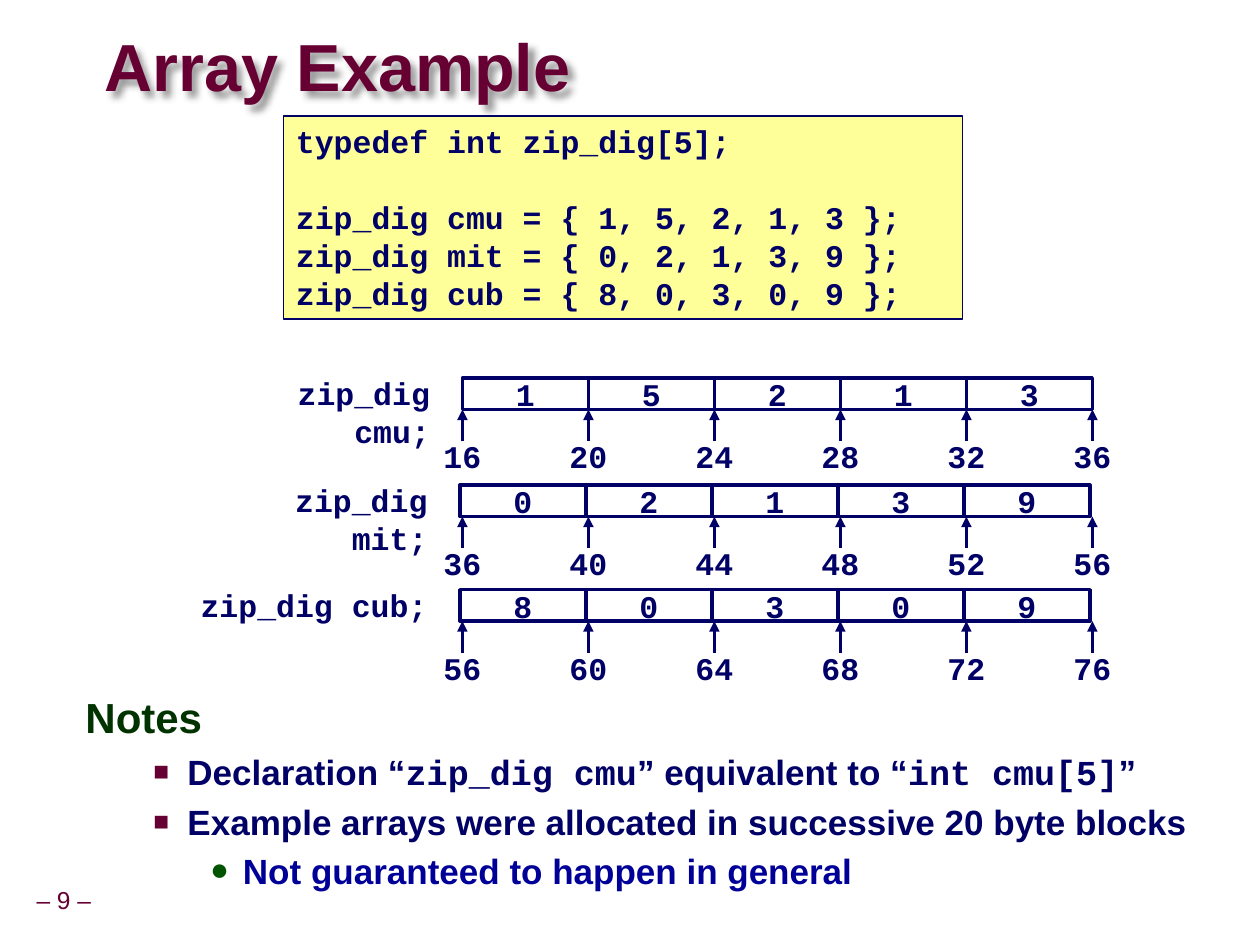
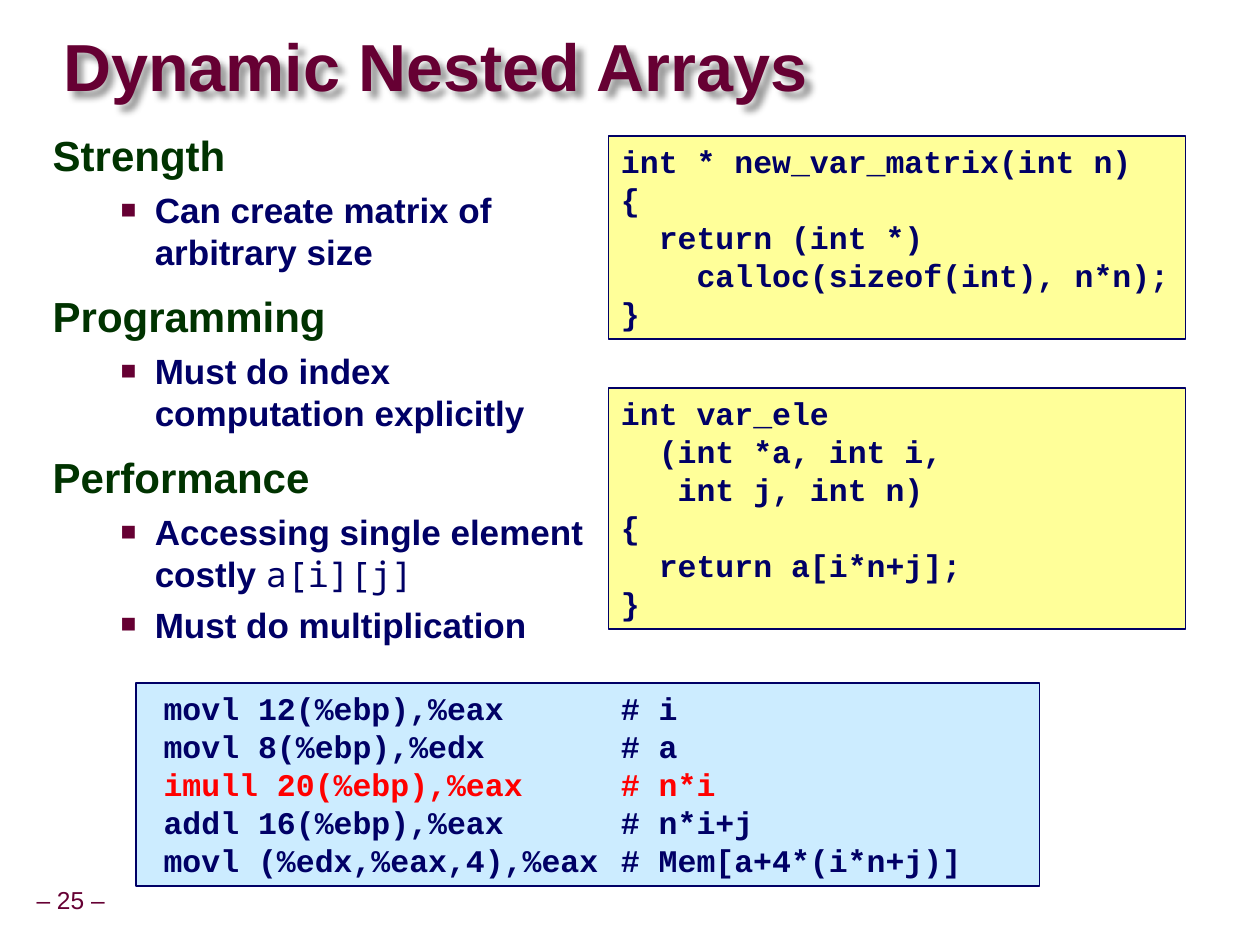
from dataclasses import dataclass
from lxml.etree import SubElement
from pptx import Presentation
from pptx.dml.color import RGBColor
from pptx.enum.shapes import MSO_CONNECTOR as Conn, MSO_SHAPE as Kind
from pptx.enum.text import MSO_ANCHOR as Anchor, PP_ALIGN as Align
from pptx.oxml.ns import qn
from pptx.util import Inches, Pt

SANS, CODE, MONO = "Arial", "Courier New", "Noto Sans Mono"
NAVY, WINE, GREEN = "000066", "660033", "003300"
BLUE, LEAF, RED = "000099", "005400", "FF0000"
WHITE, CREAM, SKY = "FFFFFF", "FFFF99", "CCECFF"
CODE_LINE = 21.7


@dataclass
class Box:
    """Place and size in inches."""
    x: float
    y: float
    w: float
    h: float

    def emu(self) -> list:
        """Give the four lengths for a shape call."""
        return [Inches(v) for v in (self.x, self.y, self.w, self.h)]


@dataclass
class Level:
    """Look of one outline level."""
    size: int
    color: str
    left: float
    hang: float
    line: float
    before: float
    mark: str = ""
    tint: str = ""
    scale: int = 100


@dataclass
class Array:
    """One array drawn as a row of cells."""
    name: str
    digits: str
    start: int
    y: float
    left: float
    label: Box


LEVELS = [
    Level(24, GREEN, 0.42, 0.42, 27, 12),
    Level(20, NAVY, 0.81, 0.27, 24, 5, "■", WINE, 75),
    Level(20, BLUE, 1.25, 0.26, 25.5, 2, "●", LEAF, 90),
]
ARRAYS = [
    Array("cmu", "15213", 16, 3, 3.67, Box(1.52, 2.92, 1.99, 0.4)),
    Array("mit", "02139", 36, 3.85, 3.65, Box(1.5, 3.77, 1.99, 0.4)),
    Array("cub", "80309", 56, 4.68, 3.65, Box(1.47, 4.6, 2.02, 0.4)),
]
ZIPS = """typedef int zip_dig[5];

zip_dig cmu = { 1, 5, 2, 1, 3 };
zip_dig mit = { 0, 2, 1, 3, 9 };
zip_dig cub = { 8, 0, 3, 0, 9 };"""
MATRIX = """int * new_var_matrix(int n)
{
  return (int *)
    calloc(sizeof(int), n*n);
}"""
ELEMENT = """int var_ele
  (int *a, int i,
   int j, int n)
{
  return a[i*n+j];
}"""
ASSEMBLY = """\tmovl 12(%ebp),%eax\t# i
\tmovl 8(%ebp),%edx\t# a
\timull 20(%ebp),%eax\t# n*i
\taddl 16(%ebp),%eax\t# n*i+j
\tmovl (%edx,%eax,4),%eax\t# Mem[a+4*(i*n+j)]"""
NOTES = [
    (0, "Notes"),
    (1, "Declaration “`zip_dig cmu`” equivalent to “`int cmu[5]`”"),
    (1, "Example arrays were allocated in successive 20 byte blocks"),
    (2, "Not guaranteed to happen in general"),
]
POINTS = [
    (0, "Strength"),
    (1, "Can create matrix of arbitrary size"),
    (0, "Programming"),
    (1, "Must do index computation explicitly"),
    (0, "Performance"),
    (1, "Accessing single element costly `a[i][j]`"),
    (1, "Must do multiplication"),
]


def rgb(color: str) -> RGBColor:
    """Turn a hex string into a colour."""
    return RGBColor.from_string(color)


def style(para, size: float, color: str, face: str = SANS, bold: bool = True) -> None:
    """Set the font of a paragraph."""
    font = para.font
    font.size, font.name, font.bold = Pt(size), face, bold
    font.color.rgb = rgb(color)


def add_text(slide, box: Box, wrap: bool = True, pad: float = 0.1):
    """Add an empty text box and return its shape."""
    shape = slide.shapes.add_textbox(*box.emu())
    frame = shape.text_frame
    frame.word_wrap = wrap
    frame.margin_left = frame.margin_right = Inches(pad)
    frame.margin_top = frame.margin_bottom = Inches(min(pad, 0.05))
    return shape


def add_rect(slide, box: Box, fill: str, width: float):
    """Add a navy-edged rectangle."""
    shape = slide.shapes.add_shape(Kind.RECTANGLE, *box.emu())
    shape.shadow.inherit = False
    shape.fill.solid()
    shape.fill.fore_color.rgb = rgb(fill)
    shape.line.color.rgb = rgb(NAVY)
    shape.line.width = Pt(width)
    return shape


def put_code(shape, text: str, align=Align.LEFT) -> None:
    """Write one bold code line into a shape."""
    para = shape.text_frame.paragraphs[0]
    para.text, para.alignment, para.line_spacing = text, align, Pt(CODE_LINE)
    style(para, 18, NAVY, CODE)


def add_code(slide, box: Box, code: str, fill: str = CREAM,
             tabs: tuple = (), hot: str = "") -> None:
    """Add a code panel, with one line in red if asked."""
    frame = add_rect(slide, box, fill, 1).text_frame
    frame.word_wrap, frame.vertical_anchor = True, Anchor.TOP
    para, gap = frame.paragraphs[0], 0
    for i, line in enumerate(code.split("\n")):
        if not line:
            gap += CODE_LINE
            continue
        if i:
            para = frame.add_paragraph()
        para.add_run().text = line
        para.alignment, para.line_spacing = Align.LEFT, Pt(CODE_LINE)
        if gap:
            para.space_before, gap = Pt(gap), 0
        if tabs:
            stops = SubElement(para._p.get_or_add_pPr(), qn("a:tabLst"))
            for tab in tabs:
                SubElement(stops, qn("a:tab"), pos=str(Inches(tab)), algn="l")
        style(para, 18, RED if hot and hot in line else NAVY, CODE)


def add_body(slide, box: Box, items: list, face: str, bold: bool) -> None:
    """Add an outline; backticks switch to the code face."""
    frame = add_text(slide, box).text_frame
    for i, (depth, text) in enumerate(items):
        level = LEVELS[depth]
        para = frame.add_paragraph() if i else frame.paragraphs[0]
        para.level, para.line_spacing = depth, Pt(level.line)
        para.space_before = Pt(level.before if i else 0)
        props = para._p.get_or_add_pPr()
        props.set("marL", str(Inches(level.left)))
        props.set("indent", str(-Inches(level.hang)))
        if level.mark:
            tint = SubElement(props, qn("a:buClr"))
            SubElement(tint, qn("a:srgbClr"), val=level.tint)
            SubElement(props, qn("a:buSzPct"), val=str(level.scale * 1000))
            SubElement(props, qn("a:buFont"), typeface=SANS)
            SubElement(props, qn("a:buChar"), char=level.mark)
        style(para, level.size, level.color)
        for j, part in enumerate(text.split("`")):
            run = para.add_run()
            run.text = part
            if j % 2:
                run.font.name, run.font.bold = face, bold


def add_arrow(slide, x: float, low: float, high: float) -> None:
    """Add an upward arrow."""
    line = slide.shapes.add_connector(
        Conn.STRAIGHT, Inches(x), Inches(low), Inches(x), Inches(high))
    line.line.color.rgb = rgb(NAVY)
    line.line.width = Pt(2)
    SubElement(line.line._get_or_add_ln(), qn("a:tailEnd"), type="triangle")
    SubElement(line._element.spPr, qn("a:effectLst"))


def add_array(slide, row: Array) -> None:
    """Draw an array with its label, cells and addresses."""
    put_code(add_text(slide, row.label), f"zip_dig {row.name};", Align.RIGHT)
    for i, digit in enumerate(row.digits):
        cell = add_rect(slide, Box(row.left + i, row.y, 1, 0.25), WHITE, 2)
        cell.text_frame.word_wrap = False
        cell.text_frame.vertical_anchor = Anchor.MIDDLE
        put_code(cell, digit, Align.CENTER)
    for i in range(len(row.digits) + 1):
        x = 3.67 + i
        add_arrow(slide, x, row.y + 0.5, row.y + 0.25)
        spot = add_text(slide, Box(x - 0.25, row.y + 0.42, 0.5, 0.4), False)
        put_code(spot, str(row.start + 4 * i), Align.CENTER)


def add_page(deck, title: str, box: Box, number: int):
    """Add a slide with its page number and shadowed title."""
    slide = deck.slides.add_slide(deck.slide_layouts[6])
    foot = add_text(slide, Box(0.24, 7, 0.66, 0.31), pad=0.05)
    head = add_text(slide, box, pad=0)
    looks = ((foot, f"– {number} –", 14, 0.9, False), (head, title, 38, 0.87, True))
    for shape, text, size, pitch, bold in looks:
        shape.text_frame.vertical_anchor = Anchor.MIDDLE
        para = shape.text_frame.paragraphs[0]
        para.text, para.line_spacing = text, pitch
        style(para, size, WINE, bold=bold)
    effects = SubElement(head._element.spPr, qn("a:effectLst"))
    shade = SubElement(effects, qn("a:outerShdw"), blurRad="50800", dist="53880",
                       dir="2700000", algn="ctr", rotWithShape="0")
    tone = SubElement(shade, qn("a:srgbClr"), val="000000")
    SubElement(tone, qn("a:alpha"), val="40000")
    return slide


def main() -> None:
    """Build and save both slides."""
    deck = Presentation()
    deck.slide_width, deck.slide_height = Inches(10), Inches(7.5)

    slide = add_page(deck, "Array Example", Box(0.83, 0.25, 5.99, 0.63), 9)
    add_body(slide, Box(0.58, 5.46, 9.17, 1.51), NOTES, CODE, True)
    add_code(slide, Box(2.25, 0.92, 5.39, 1.61), ZIPS)
    for row in ARRAYS:
        add_array(slide, row)

    slide = add_page(deck, "Dynamic Nested Arrays", Box(0.5, 0.25, 7.38, 0.63), 25)
    add_body(slide, Box(0.32, 1, 4.61, 6.05), POINTS, MONO, False)
    add_code(slide, Box(4.83, 1.08, 4.58, 1.61), MATRIX)
    add_code(slide, Box(4.83, 3.08, 4.58, 1.91), ELEMENT)
    add_code(slide, Box(1.08, 5.42, 7.17, 1.61), ASSEMBLY, SKY, (0.12, 3.75), "imull")
    deck.save("out.pptx")


if __name__ == "__main__":
    main()
